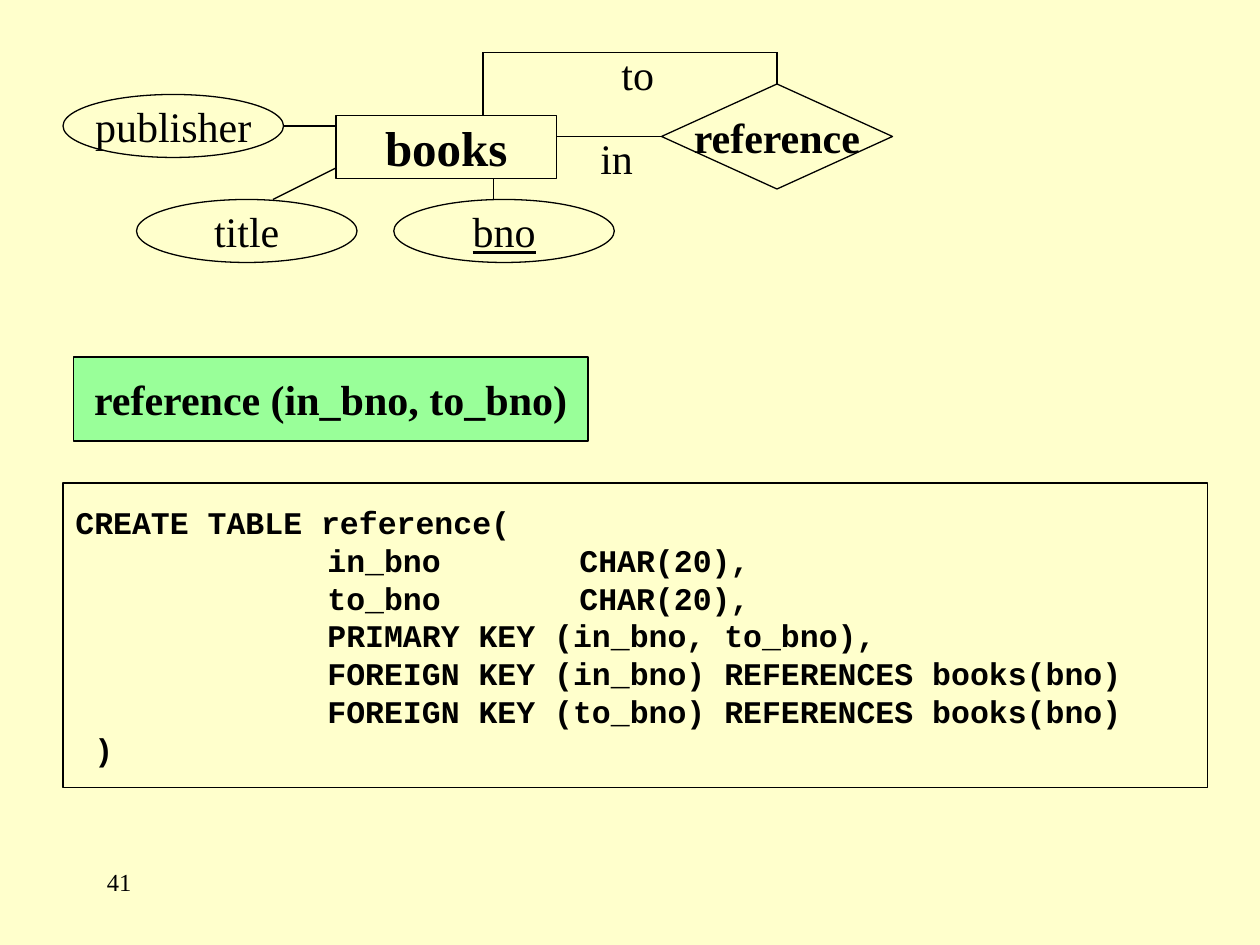
from lxml import etree
from pptx import Presentation
from pptx.dml.color import RGBColor
from pptx.enum import shapes, text
from pptx.oxml import ns
from pptx.util import Pt

CREAM, GREEN, BLACK = "FFFFCC", "99FF99", "000000"
KIND = shapes.MSO_SHAPE
ALIGN = text.PP_ALIGN


def color(value):
    return RGBColor.from_string(value)


def write(sp, content, size=24, font="Times New Roman", bold=False,
          underline=False, align=ALIGN.CENTER, anchor=text.MSO_ANCHOR.MIDDLE,
          wrap=False, tabs=()):
    tf = sp.text_frame
    tf.word_wrap = wrap
    tf.vertical_anchor = anchor
    for i, line in enumerate(content.split("\n")):
        p = tf.paragraphs[0] if i == 0 else tf.add_paragraph()
        p.alignment = align
        r = p.add_run()
        r.text = line
        r.font.name, r.font.size = font, Pt(size)
        r.font.bold, r.font.underline = bold, underline
        r.font.color.rgb = color(BLACK)
        if tabs:
            tab_list = etree.SubElement(p._p.get_or_add_pPr(), ns.qn("a:tabLst"))
            for pos in tabs:
                etree.SubElement(tab_list, ns.qn("a:tab"), pos=str(Pt(pos)), algn="l")


prs = Presentation()
prs.slide_width, prs.slide_height = Pt(720), Pt(540)
slide = prs.slides.add_slide(prs.slide_layouts[6])
slide.background.fill.solid()
slide.background.fill.fore_color.rgb = color(CREAM)

# Connecting lines of the diagram
for ends in [
    (378, 78, 318, 78),    # books - reference, "in"
    (276, 66, 276, 30),    # books - reference, "to"
    (276, 30, 444, 30),
    (444, 30, 444, 48),
    (192, 72, 162, 72),    # books - publisher
    (192, 96, 156, 114),   # books - title
    (282, 102, 282, 114),  # books - bno
]:
    line = slide.shapes.add_connector(shapes.MSO_CONNECTOR.STRAIGHT, *map(Pt, ends))
    line.line.color.rgb = color(BLACK)
    line.line.width = Pt(0.75)
    etree.SubElement(line._element.spPr, ns.qn("a:effectLst"))

# Entity, attributes, relationship, schema and SQL boxes
sql = """CREATE TABLE reference(
\tin_bno\tCHAR(20),
\tto_bno\tCHAR(20),
\tPRIMARY KEY (in_bno, to_bno),
\tFOREIGN KEY (in_bno) REFERENCES books(bno)
\tFOREIGN KEY (to_bno) REFERENCES books(bno)
 )"""
for kind, box, fill, content, style in [
    (KIND.DIAMOND, (378, 48, 132, 60), CREAM, "reference", dict(bold=True)),
    (KIND.RECTANGLE, (192, 66, 126, 36), CREAM, "books", dict(size=28, bold=True)),
    (KIND.OVAL, (78, 114, 126, 36), CREAM, "title", {}),
    (KIND.OVAL, (225, 114, 126, 36), CREAM, "bno", dict(underline=True)),
    (KIND.OVAL, (36, 54, 126, 36), CREAM, "publisher", {}),
    (KIND.RECTANGLE, (42, 204, 294, 48), GREEN, "reference (in_bno, to_bno)",
     dict(bold=True)),
    (KIND.RECTANGLE, (36, 276, 654, 174), CREAM, sql,
     dict(size=18, font="Courier New", bold=True, align=ALIGN.LEFT, wrap=True,
          tabs=(144, 288))),
]:
    sp = slide.shapes.add_shape(kind, *map(Pt, box))
    sp.shadow.inherit = False
    sp.fill.solid()
    sp.fill.fore_color.rgb = color(fill)
    sp.line.color.rgb = color(BLACK)
    sp.line.width = Pt(0.75)
    write(sp, content, **style)

# Role labels and slide number
for box, content, style in [
    ((348, 24, 33, 36), "to", {}),
    ((336, 72, 33, 36), "in", {}),
    ((54, 492, 150, 36), "41", dict(size=14, wrap=True)),
]:
    sp = slide.shapes.add_textbox(*map(Pt, box))
    write(sp, content, align=ALIGN.LEFT, anchor=text.MSO_ANCHOR.TOP, **style)

prs.save("out.pptx")
